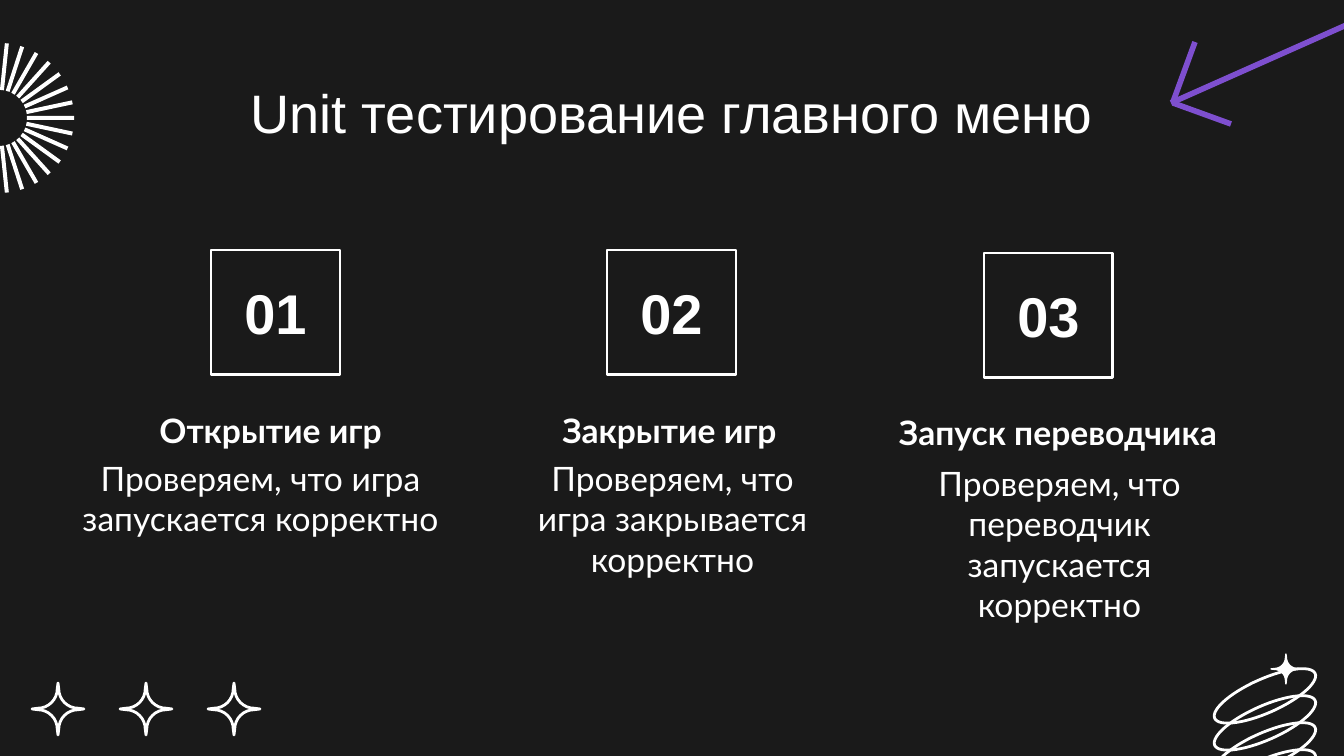
from math import cos, pi, radians, sin

from lxml import etree
from pptx import Presentation
from pptx.dml.color import RGBColor
from pptx.enum.shapes import MSO_CONNECTOR, MSO_SHAPE
from pptx.enum.text import MSO_ANCHOR, PP_ALIGN
from pptx.oxml.ns import qn
from pptx.util import Pt

SCALE = 914400 / 134.4
RECTANGLE = MSO_SHAPE.RECTANGLE
STRAIGHT = MSO_CONNECTOR.STRAIGHT
CENTER = PP_ALIGN.CENTER
TOP, MIDDLE, BOTTOM = MSO_ANCHOR.TOP, MSO_ANCHOR.MIDDLE, MSO_ANCHOR.BOTTOM
DARK, WHITE, PURPLE = "1A1A1A", "FFFFFF", "7E4FCF"

COLUMNS = [
    ("01", (211, 250), "Открытие игр", (42, 353, 437, 110),
     "Проверяем, что игра запускается корректно", (54, 445, 413, 69)),
    ("02", (607, 250), "Закрытие игр", (453, 353, 413, 110),
     "Проверяем, что игра закрывается корректно", (503, 445, 339, 146)),
    ("03", (984, 253), "Запуск переводчика", (821, 355, 454, 110),
     "Проверяем, что переводчик запускается корректно", (890, 450, 339, 91)),
]
ARROW = [(1171, 103, 1351, 23), (1173, 103, 1231, 124), (1173, 102, 1195, 42)]


def px(value):
    return round(value * SCALE)


def color(value):
    return RGBColor.from_string(value)


def star(x, y, radius):
    points = []
    bend = 0.75 * radius
    for quarter in range(4):
        turn = quarter * pi / 2
        corner = turn + pi / 4
        points.append((x + radius * cos(turn), y + radius * sin(turn)))
        center_x = x + 1.1 * radius * cos(corner)
        center_y = y + 1.1 * radius * sin(corner)
        for step in range(9):
            angle = turn - pi / 2 - step * pi / 16
            points.append((center_x + bend * cos(angle), center_y + bend * sin(angle)))
    return points


def ray(x, y, inner, outer, half_width, angle):
    corners = [(inner, -half_width), (outer, -half_width), (outer, half_width), (inner, half_width)]
    return [(x + u * cos(angle) - v * sin(angle), y + u * sin(angle) + v * cos(angle))
            for u, v in corners]


def loop(x, y, long, short, tilt):
    angles = [radians(6 * step) for step in range(60)]
    return [(x + long * cos(a) * cos(tilt) - short * sin(a) * sin(tilt),
             y + long * cos(a) * sin(tilt) + short * sin(a) * cos(tilt)) for a in angles]


class Painter:
    """Draws styled elements on the current page."""

    def __init__(self, page):
        self.page = page
        self.page.background.fill.solid()
        self.page.background.fill.fore_color.rgb = color(DARK)

    def set_text(self, shape, text, size, font, bold=False, anchor=TOP, after=0, indent=None):
        frame = shape.text_frame
        frame.text = text
        frame.word_wrap = True
        frame.vertical_anchor = anchor
        frame.margin_left = frame.margin_right = px(13)
        frame.margin_top = frame.margin_bottom = px(13)
        para = frame.paragraphs[0]
        para.alignment = CENTER
        para.space_after = Pt(after)
        if indent:
            properties = para._p.get_or_add_pPr()
            properties.set("marL", str(px(indent[0])))
            properties.set("indent", str(px(indent[1])))
        span = para.runs[0].font
        span.name, span.size, span.bold = font, Pt(size), bold
        span.color.rgb = color(WHITE)

    def text(self, area, text, size, font, **style):
        box = self.page.shapes.add_textbox(*map(px, area))
        self.set_text(box, text, size, font, **style)

    def paint(self, shape, fill, width):
        shape.shadow.inherit = False
        if fill:
            shape.fill.solid()
            shape.fill.fore_color.rgb = color(fill)
        else:
            shape.fill.background()
        if width:
            shape.line.color.rgb = color(WHITE)
            shape.line.width = Pt(width)
        else:
            shape.line.fill.background()

    def number(self, area, text):
        box = self.page.shapes.add_shape(RECTANGLE, *map(px, area))
        self.paint(box, None, 1.5)
        self.set_text(box, text, 30, "Arial", bold=True, anchor=MIDDLE)

    def outline(self, contours, fill=None, width=None):
        builder = None
        for contour in contours:
            start, *rest = [(px(x), px(y)) for x, y in contour]
            if builder:
                builder.move_to(*start)
            else:
                builder = self.page.shapes.build_freeform(*start, scale=1.0)
            builder.add_line_segments(rest, close=True)
        self.paint(builder.convert_to_shape(), fill, width)

    def line(self, ends, stroke, width):
        connector = self.page.shapes.add_connector(STRAIGHT, *map(px, ends))
        connector.line.color.rgb = color(stroke)
        connector.line.width = Pt(width)
        etree.SubElement(connector._element.spPr, qn("a:effectLst"))


def main():
    deck = Presentation()
    deck.slide_width, deck.slide_height = px(1344), px(756)
    painter = Painter(deck.slides.add_slide(deck.slide_layouts[6]))

    painter.outline([star(58 + 88 * i, 709, 26) for i in range(3)], width=1.5)
    painter.outline([loop(1265, 696 + 27 * i, 55, 17, radians(-24)) for i in range(5)], width=1.5)
    painter.outline([star(1286, 669, 15)], fill=WHITE, width=0.75)
    painter.outline([ray(-1, 118, 28, 75, 2, radians(12 * i)) for i in range(30)], fill=WHITE)

    painter.text((106, 66, 1132, 85), "Unit тестирование главного меню", 29, "Arial")
    for number, corner, heading, heading_area, body, body_area in COLUMNS:
        painter.text(body_area, body, 18, "Lato", after=8)
        painter.number((*corner, 129, 125), number)
        painter.text(heading_area, heading, 18, "Lato", bold=True, anchor=BOTTOM,
                     after=8, indent=(67, -47))
    for ends in ARROW:
        painter.line(ends, PURPLE, 3)

    deck.save("out.pptx")


if __name__ == "__main__":
    main()
